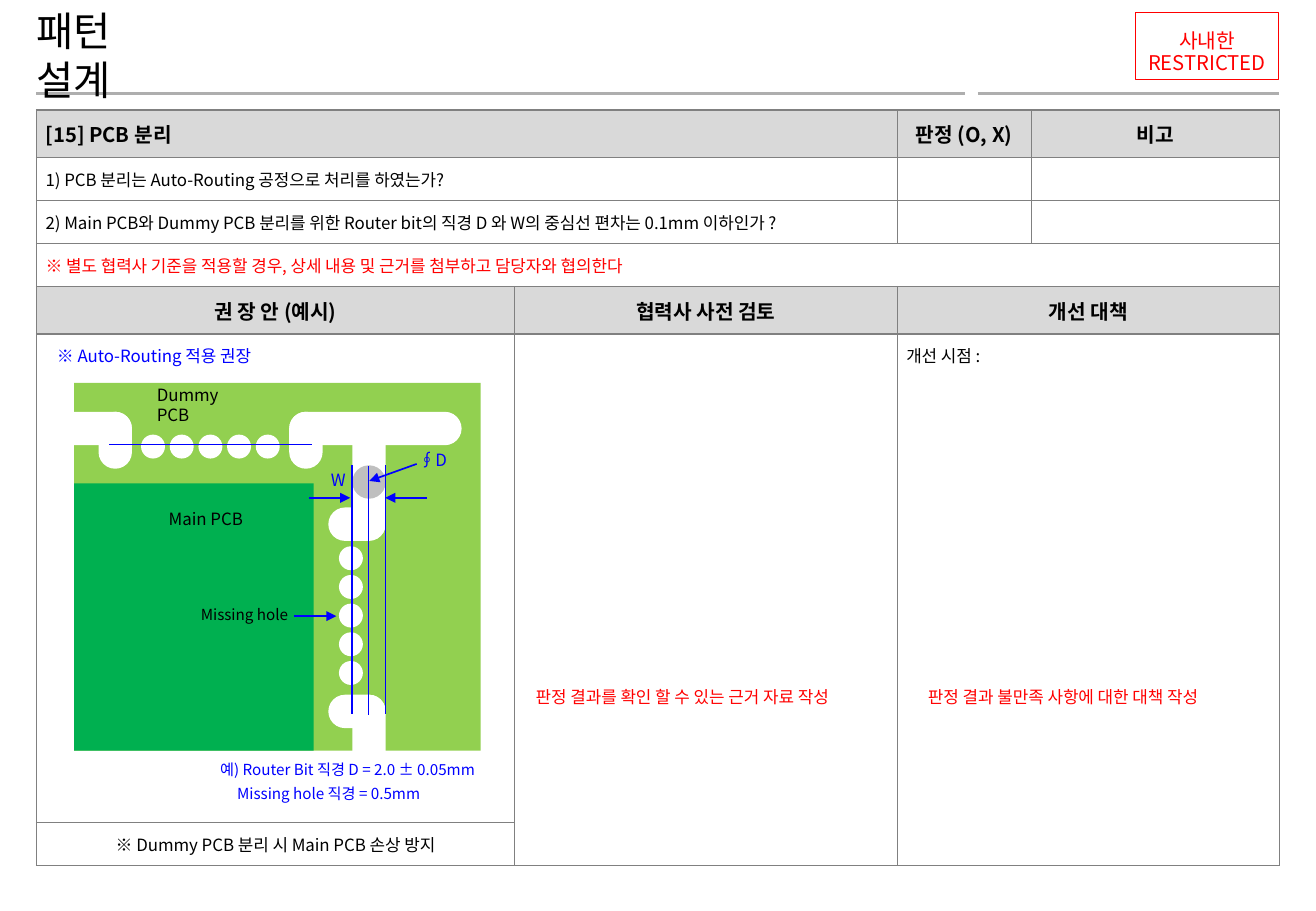
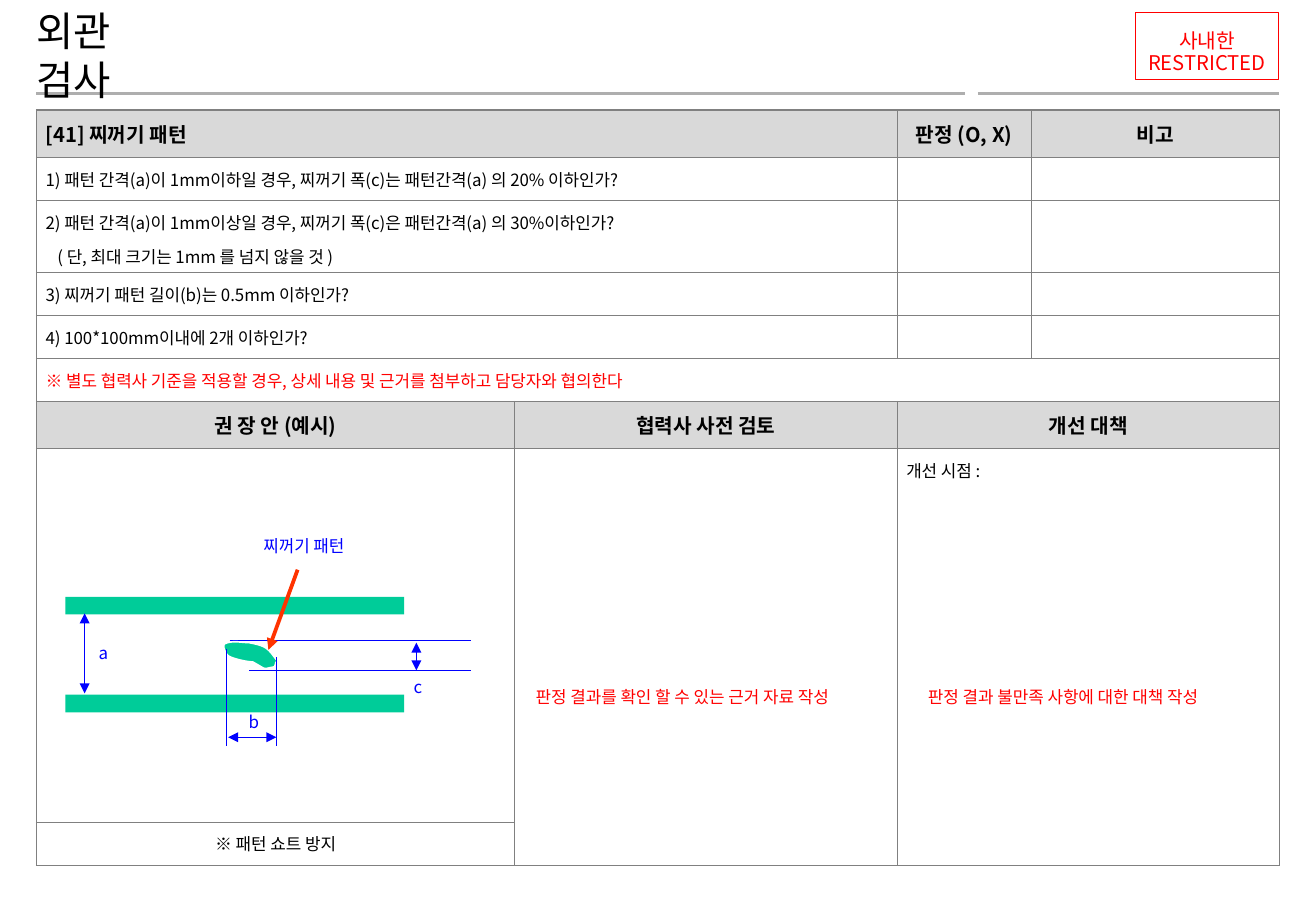
from dataclasses import dataclass
from typing import Any, Optional

from lxml import etree
from pptx import Presentation
from pptx import util as u
from pptx.dml import color
from pptx.enum import shapes, text
from pptx.oxml import ns

FACE = "Noto Sans CJK KR"
BLACK, WHITE, RED, BLUE = "000000", "FFFFFF", "FF0000", "0000FF"
RULE, EDGE, HEAD = "AEAEAE", "808080", "D9D9D9"
LIME, GREEN, SILVER, TEAL, FLAME = "92D050", "00B050", "BFBFBF", "00CC99", "FF3300"
LEFT, MID = text.PP_ALIGN.LEFT, text.PP_ALIGN.CENTER
BOX, PILL, DISC = (shapes.MSO_SHAPE.RECTANGLE, shapes.MSO_SHAPE.ROUNDED_RECTANGLE,
                   shapes.MSO_SHAPE.OVAL)
COLS = (283.4, 226.8, 79.4, 147.4)
TALL, ROW, PAIR, TOTAL = 28.2, 25.5, 42.6, 447.8
PAD = 5.4


@dataclass
class Form:
    x: float
    y: float
    w: float
    h: float
    fill: Optional[str] = WHITE
    kind: Any = PILL
    edge: Optional[str] = None


@dataclass
class Line:
    x: float
    y: float
    x2: float
    y2: float
    ink: str = BLUE
    width: float = 0.75
    head: bool = False
    tail: bool = False


@dataclass
class Label:
    x: float
    y: float
    w: float
    h: float
    words: str
    look: dict


@dataclass
class Blob:
    start: tuple
    curves: list
    fill: str


@dataclass
class Page:
    title: str
    topic: str
    asks: list
    goal: str
    art: list


def paint(fill, ink: Optional[str]) -> None:
    if ink is None:
        fill.background()
    else:
        fill.solid()
        fill.fore_color.rgb = color.RGBColor.from_string(ink)


def say(frame, words: str, size: float = 10, ink: str = BLACK, bold: bool = False,
        side=LEFT, gap: float = 0, dent: float = 0, leads: tuple = ()) -> None:
    for i, part in enumerate(words.split("\n")):
        para = frame.paragraphs[0] if i == 0 else frame.add_paragraph()
        para.alignment = side
        if i:
            para.space_before = u.Pt(gap)
            if dent:
                para._p.get_or_add_pPr().set("marL", str(u.Pt(dent)))
        if leads:
            para.line_spacing = leads[i]
        if not part:
            etree.SubElement(para._p, ns.qn("a:endParaRPr"), sz=str(size * 100))
            continue
        run = para.add_run()
        run.text = part
        run.font.size = u.Pt(size)
        run.font.bold = bold
        run.font.name = FACE
        paint(run.font.fill, ink)
        etree.SubElement(run._r.get_or_add_rPr(), ns.qn("a:ea"), typeface=FACE)


def add_form(slide, f: Form):
    shape = slide.shapes.add_shape(f.kind, u.Pt(f.x), u.Pt(f.y), u.Pt(f.w), u.Pt(f.h))
    shape.shadow.inherit = False
    if f.kind == PILL:
        shape.adjustments[0] = 0.5
    paint(shape.fill, f.fill)
    paint(shape.line.fill, f.edge)
    if f.edge:
        shape.line.width = u.Pt(0.75)
    return shape


def add_line(slide, l: Line) -> None:
    wire = slide.shapes.add_connector(shapes.MSO_CONNECTOR.STRAIGHT, u.Pt(l.x), u.Pt(l.y),
                                      u.Pt(l.x2), u.Pt(l.y2))
    paint(wire.line.fill, l.ink)
    wire.line.width = u.Pt(l.width)
    for tag, shown in (("a:headEnd", l.head), ("a:tailEnd", l.tail)):
        if shown:
            etree.SubElement(wire.get_or_add_ln(), ns.qn(tag), type="triangle")
    etree.SubElement(wire._element.spPr, ns.qn("a:effectLst"))


def add_label(slide, l: Label) -> None:
    box = slide.shapes.add_textbox(u.Pt(l.x), u.Pt(l.y), u.Pt(l.w), u.Pt(l.h))
    frame = box.text_frame
    frame.word_wrap = True
    frame.vertical_anchor = text.MSO_ANCHOR.MIDDLE
    frame.margin_left = frame.margin_right = frame.margin_top = frame.margin_bottom = 0
    say(frame, l.words, **l.look)


def add_blob(slide, b: Blob) -> None:
    pen, dots = b.start, []
    for c1, c2, end in b.curves:
        for t in (k / 8 for k in range(1, 9)):
            s = 1 - t
            dots.append(tuple(u.Pt(s**3 * p + 3 * s * s * t * q + 3 * s * t * t * r + t**3 * e)
                              for p, q, r, e in zip(pen, c1, c2, end)))
        pen = end
    path = slide.shapes.build_freeform(u.Pt(b.start[0]), u.Pt(b.start[1]))
    path.add_line_segments(dots, close=True)
    shape = path.convert_to_shape()
    shape.shadow.inherit = False
    paint(shape.fill, b.fill)
    paint(shape.line.fill, WHITE)
    shape.line.width = u.Pt(1)


DRAW = {Form: add_form, Line: add_line, Label: add_label, Blob: add_blob}


def draw(slide, items: list) -> None:
    for item in items:
        DRAW[type(item)](slide, item)


def style(cell, fill: Optional[str]) -> None:
    cell.margin_left = cell.margin_right = cell.margin_top = cell.margin_bottom = u.Pt(PAD)
    cell.vertical_anchor = text.MSO_ANCHOR.MIDDLE
    for side in "LRTB":
        edge = etree.SubElement(cell._tc.get_or_add_tcPr(), ns.qn("a:ln" + side),
                                w=str(u.Pt(0.75)))
        ink = etree.SubElement(edge, ns.qn("a:solidFill"))
        etree.SubElement(ink, ns.qn("a:srgbClr"), val=EDGE)
    paint(cell.fill, fill)


def add_grid(slide, page: Page) -> None:
    rows = [TALL, *(PAIR if "\n" in ask else ROW for ask in page.asks), ROW, TALL]
    rows += [TOTAL - sum(rows) - ROW, ROW]
    grid = slide.shapes.add_table(len(rows), len(COLS), u.Pt(21.6), u.Pt(65.2),
                                  u.Pt(sum(COLS)), u.Pt(TOTAL)).table
    grid.first_row = grid.horz_banding = False
    for col, width in zip(grid.columns, COLS):
        col.width = u.Pt(width)
    for row, height in zip(grid.rows, rows):
        row.height = u.Pt(height)
    note = len(page.asks) + 1
    head, body, last = note + 1, note + 2, note + 3
    bold = dict(size=12, bold=True)
    title = dict(bold, side=MID)
    words = {(0, 0): (page.topic, bold), (0, 2): ("판정 (O, X)", title), (0, 3): ("비고", title),
             (note, 0): ("※ 별도 협력사 기준을 적용할 경우, 상세 내용 및 근거를 첨부하고 담당자와 협의한다",
                         dict(ink=RED)),
             (head, 0): ("권 장 안 (예시)", title), (head, 1): ("협력사 사전 검토", title),
             (head, 2): ("개선 대책", title), (body, 2): ("개선 시점 :", {}),
             (last, 0): (page.goal, dict(side=MID))}
    for i, ask in enumerate(page.asks, 1):
        words[i, 0] = (ask, dict(gap=6, dent=7))
    for r in range(len(rows)):
        for c in range(len(COLS)):
            cell = grid.cell(r, c)
            style(cell, HEAD if r in (0, head) else None)
            part, look = words.get((r, c), ("", {}))
            if "\n" in part:
                cell.margin_bottom = u.Pt(1)
                cell.vertical_anchor = text.MSO_ANCHOR.TOP
            say(cell.text_frame, part, **look)
    grid.cell(body, 2).vertical_anchor = text.MSO_ANCHOR.TOP
    spans = [(r, 0, r, 1) for r in range(note)]
    spans += [(note, 0, note, 3), (head, 2, head, 3), (body, 1, last, 1), (body, 2, last, 3)]
    for r, c, r2, c2 in spans:
        grid.cell(r, c).merge(grid.cell(r2, c2))


def add_page(deck, page: Page) -> None:
    slide = deck.slides.add_slide(deck.slide_layouts[6])
    draw(slide, [Line(21.6, 55.4, 571.7, 55.4, RULE, 2),
                 Line(579.6, 55.4, 758.2, 55.4, RULE, 2)])
    stamp = add_form(slide, Form(673.2, 7.6, 84.4, 39.6, None, BOX, RED))
    stamp.text_frame.word_wrap = False
    stamp.text_frame.vertical_anchor = text.MSO_ANCHOR.MIDDLE
    say(stamp.text_frame, "사내한\nRESTRICTED", size=12, ink=RED, side=MID, gap=6,
        leads=(1.35, 0.45))
    draw(slide, [Label(21.6, 18, 80, 28.8, page.title, dict(size=24))])
    add_grid(slide, page)
    draw(slide, page.art)
    draw(slide, [Label(317.5, 403.4, 205, 19.4, "판정 결과를 확인 할 수 있는 근거 자료 작성", dict(ink=RED)),
                 Label(550, 403.4, 195, 19.4, "판정 결과 불만족 사항에 대한 대책 작성", dict(ink=RED))])


SLOT, HOLE, STEP = 19.8, 14.2, 17
TAG = dict(ink=BLUE, side=MID)

BOARD = [
    Label(33.8, 201.5, 200, 19.4, "※ Auto-Routing 적용 권장", dict(ink=BLUE)),
    Form(44, 227, 241, 218, LIME, BOX),
    Form(44, 286.6, 142, 158.4, GREEN, BOX),
    Label(93, 225, 50, 30, "Dummy PCB", {}),
    Label(100, 298, 60, 19.4, "Main PCB", {}),
    Form(33.2, 244.1, 45, SLOT),
    Form(171.4, 244.1, 102.2, SLOT),
    Form(208.8, 249.8, SLOT, 70.6),
    Form(208.8, 411.8, SLOT, 42.5),
    *(Form(x, 244.1, SLOT, 33.8) for x in (58.4, 171.4)),
    *(Form(194.6, y, 34, SLOT) for y in (300.8, 411.8)),
    *(Form(83.6 + k * STEP, 257.6, HOLE, HOLE, kind=DISC) for k in range(5)),
    *(Form(200.9, 323.8 + k * STEP, HOLE, HOLE, kind=DISC) for k in range(5)),
    Line(64.8, 263.3, 185, 263.3),
    Form(208.8, 275.8, SLOT, SLOT, SILVER, DISC),
    Label(238, 264.2, 37, 16.6, "∮D", TAG),
    Label(191.5, 275.8, 18, 16.6, "W", TAG),
    Line(218.6, 276.5, 218.6, 424),
    *(Line(x, 275.8, x, 423.4, width=1) for x in (208.8, 228.6)),
    Line(183, 295.1, 207.6, 295.1, width=1, tail=True),
    Line(253, 295.1, 228.4, 295.1, width=1, tail=True),
    Line(247, 275, 218.9, 285.1, width=1, tail=True),
    Line(174.2, 365.2, 199.4, 365.2, tail=True),
    Label(119, 355, 70, 18, "Missing hole", dict(size=9)),
    Label(130.5, 445.5, 178, 35.5, "예) Router Bit 직경 D = 2.0 ± 0.05mm\nMissing hole 직경 = 0.5mm",
          dict(size=9, ink=BLUE, gap=3.6, dent=10)),
]

SCRAP = [
    Line(147.6, 397.4, 279.4, 397.4),
    Line(246.8, 380.9, 246.8, 397.4, head=True, tail=True),
    Line(136.1, 379.8, 279.4, 379.8),
    *(Form(38.7, y, 200.9, 10.5, TEAL, BOX) for y in (353.8, 411.8)),
    Label(233.3, 399, 28.8, 16.6, "c", TAG),
    Line(50.2, 411, 50.2, 363.6, head=True, tail=True),
    Blob((164.9, 392.4), [((158.4, 383.8), (158.4, 383), (147.6, 380.9)),
                          ((143.3, 380.9), (137.5, 379.4), (133.2, 381.6)),
                          ((131.8, 383), (133.2, 385.9), (134.6, 388.1)),
                          ((136.1, 390.2), (146.2, 392.4), (149.8, 392.4)),
                          ((159.1, 397.4), (154.8, 396.7), (162.7, 395.3)),
                          ((164.2, 392.4), (162.7, 392.4), (164.9, 392.4))], TEAL),
    Label(43.9, 378.7, 34.6, 16.6, "a", TAG),
    Label(114.2, 315, 131.8, 16.6, "찌꺼기 패턴", TAG),
    Line(176.4, 337.7, 159.1, 385.2, FLAME, 2.25, tail=True),
    Line(134.2, 384.5, 134.2, 442),
    Line(163.8, 389.5, 163.8, 442),
    Line(135.2, 437, 163.8, 437, head=True, tail=True),
    Label(136.1, 419.5, 28.8, 16.6, "b", TAG),
]

PAGES = [
    Page("패턴 설계", "[15] PCB 분리",
         ["1) PCB 분리는 Auto-Routing 공정으로 처리를 하였는가?",
          "2) Main PCB와 Dummy PCB 분리를 위한 Router bit의 직경 D 와 W의 중심선 편차는 0.1mm 이하인가 ?"],
         "※ Dummy PCB 분리 시 Main PCB 손상 방지", BOARD),
    Page("외관 검사", "[41] 찌꺼기 패턴",
         ["1) 패턴 간격(a)이 1mm이하일 경우, 찌꺼기 폭(c)는 패턴간격(a) 의 20% 이하인가?",
          "2) 패턴 간격(a)이 1mm이상일 경우, 찌꺼기 폭(c)은 패턴간격(a) 의 30%이하인가?\n"
          "( 단, 최대 크기는 1mm 를 넘지 않을 것 )",
          "3) 찌꺼기 패턴 길이(b)는 0.5mm 이하인가?",
          "4) 100*100mm이내에 2개 이하인가?"],
         "※ 패턴 쇼트 방지", SCRAP),
]


def main() -> None:
    deck = Presentation()
    deck.slide_width, deck.slide_height = u.Pt(780), u.Pt(540)
    for page in PAGES:
        add_page(deck, page)
    deck.save("out.pptx")


if __name__ == "__main__":
    main()
